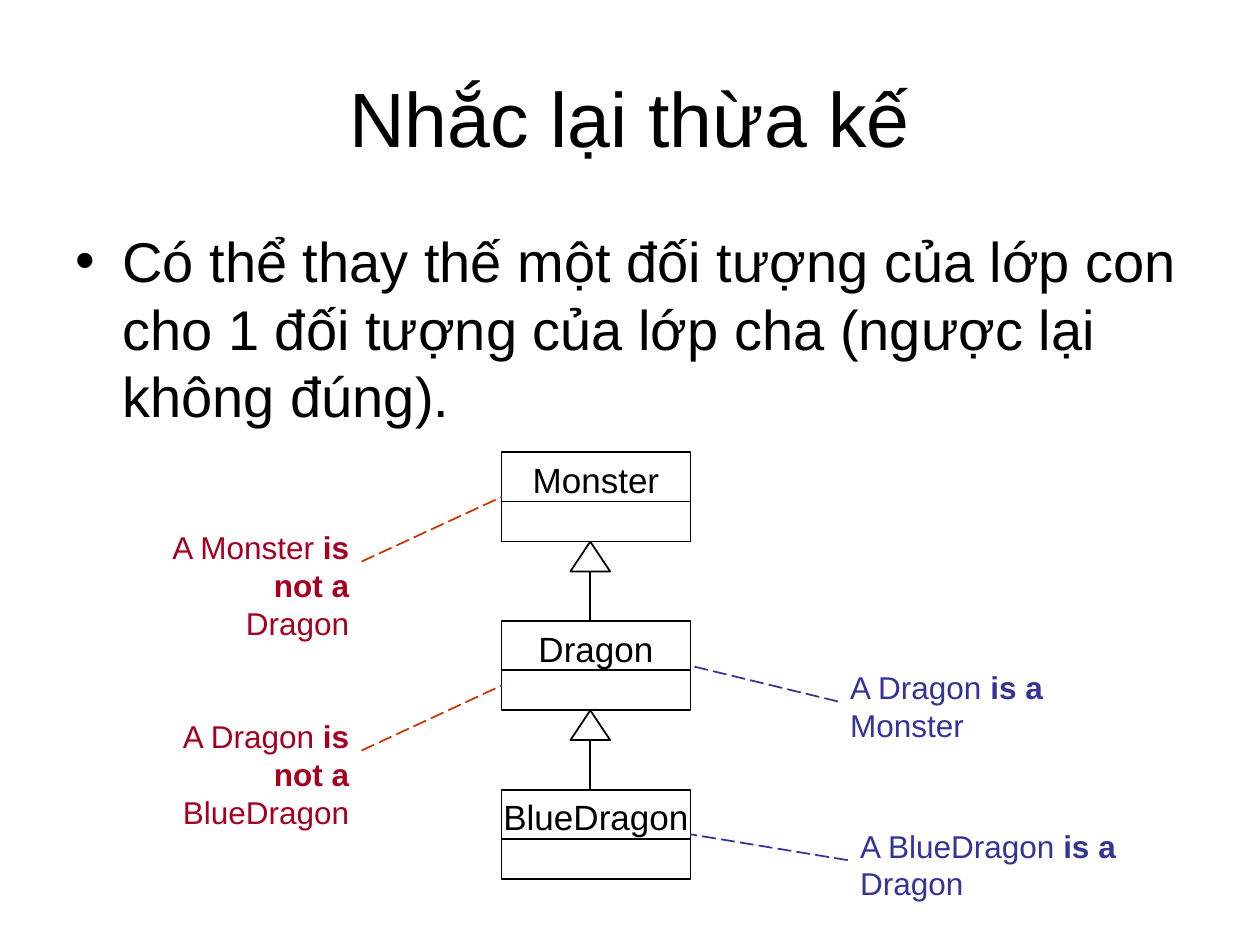
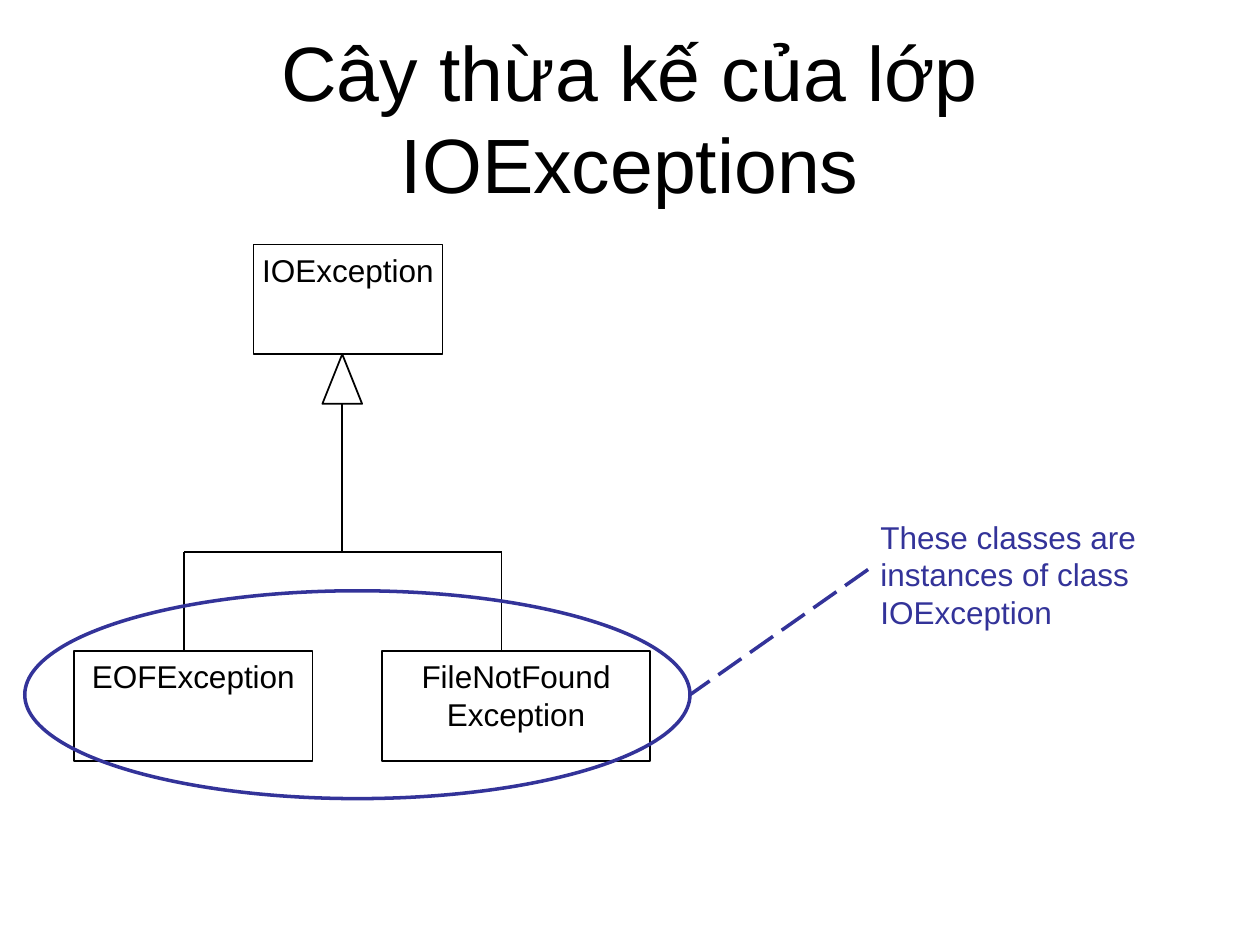
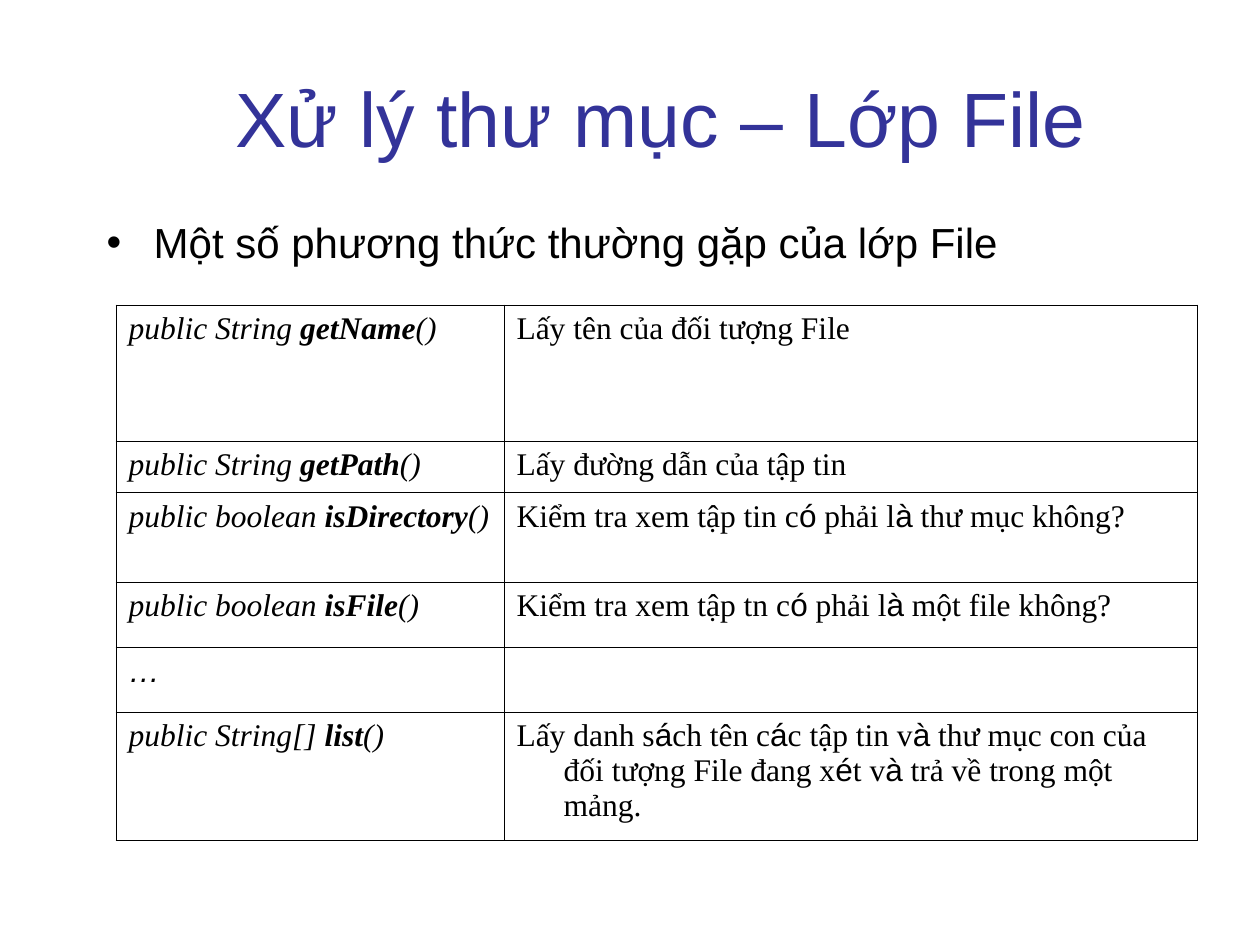
from itertools import groupby

from lxml import etree
from pptx import Presentation
from pptx.dml.color import RGBColor
from pptx.enum.dml import MSO_LINE
from pptx.enum.shapes import MSO_CONNECTOR, MSO_SHAPE
from pptx.enum.text import MSO_ANCHOR, MSO_AUTO_SIZE, PP_ALIGN
from pptx.oxml.ns import qn
from pptx.util import Cm, Pt

LEFT, CENTER, RIGHT = PP_ALIGN.LEFT, PP_ALIGN.CENTER, PP_ALIGN.RIGHT
RECTANGLE, OVAL = MSO_SHAPE.RECTANGLE, MSO_SHAPE.OVAL
TRIANGLE = MSO_SHAPE.ISOSCELES_TRIANGLE
STRAIGHT = MSO_CONNECTOR.STRAIGHT
LONG_DASH = MSO_LINE.LONG_DASH
TOP, MIDDLE = MSO_ANCHOR.TOP, MSO_ANCHOR.MIDDLE
LEFT_SIDE, RIGHT_SIDE = 1, 3

BLACK = RGBColor(0x00, 0x00, 0x00)
WHITE = RGBColor(0xFF, 0xFF, 0xFF)
BLUE = RGBColor(0x33, 0x33, 0x99)
CRIMSON = RGBColor(0xA5, 0x00, 0x21)
ORANGE = RGBColor(0xCC, 0x33, 0x00)

SANS, SERIF = "Arial", "Times New Roman"
SANS_LETTERS = "áàéó…"
HANGING = 0.95
TITLE_BOX = (1.27, 0.76, 22.86, 3.18)
BLUE_TITLE_BOX = (2.54, 0.76, 21.59, 3.18)
ARROW_WIDTH = 0.8

METHODS = [
    (2.74, ("public String ", "getName"), "Lấy tên của đối tượng File"),
    (1.04, ("public String ", "getPath"), "Lấy đường dẫn của tập tin"),
    (1.8, ("public boolean ", "isDirectory"),
     "Kiểm tra xem tập tin có phải là thư mục không?"),
    (1.32, ("public boolean ", "isFile"),
     "Kiểm tra xem tập tn có phải là một file không?"),
    (1.3, ("…", ""), ""),
    (2.59, ("public String[] ", "list"),
     "Lấy danh sách tên các tập tin và thư mục con của đối tượng File "
     "đang xét và trả về trong một mảng."),
]


def lengths(values):
    return [Cm(value) for value in values]


def add_run(paragraph, text, size, color=BLACK, font=SANS, bold=False, italic=False):
    run = paragraph.add_run()
    run.text = text
    run.font.name = font
    run.font.size = Pt(size)
    run.font.color.rgb = color
    run.font.bold = bold
    run.font.italic = italic


def set_hanging(paragraph):
    properties = paragraph._p.get_or_add_pPr()
    properties.set("marL", str(Cm(HANGING)))
    properties.set("indent", str(-Cm(HANGING)))
    return properties


def add_titled_slide(presentation, text, box=TITLE_BOX, color=BLACK):
    slide = presentation.slides.add_slide(presentation.slide_layouts[5])
    title = slide.shapes.title
    title.left, title.top, title.width, title.height = lengths(box)
    frame = title.text_frame
    frame.auto_size = MSO_AUTO_SIZE.NONE
    frame.vertical_anchor = MIDDLE
    paragraph = frame.paragraphs[0]
    paragraph.alignment = CENTER
    add_run(paragraph, text, 44, color)
    return slide


def add_bullet_text(slide, box, text, size):
    frame = slide.shapes.add_textbox(*lengths(box)).text_frame
    frame.word_wrap = True
    paragraph = frame.paragraphs[0]
    properties = set_hanging(paragraph)
    bullet_color = etree.SubElement(properties, qn("a:buClr"))
    etree.SubElement(bullet_color, qn("a:srgbClr"), val=str(BLACK))
    etree.SubElement(properties, qn("a:buFont"), typeface=SANS)
    etree.SubElement(properties, qn("a:buChar"), char="•")
    add_run(paragraph, text, size)


def add_outline(slide, kind, box, color=BLACK, width=1, fill=None):
    shape = slide.shapes.add_shape(kind, *lengths(box))
    shape.shadow.inherit = False
    if fill is None:
        shape.fill.background()
    else:
        shape.fill.solid()
        shape.fill.fore_color.rgb = fill
    shape.line.color.rgb = color
    shape.line.width = Pt(width)
    return shape


def add_line(slide, start, end, color=BLACK, width=1, dash=None):
    line = slide.shapes.add_connector(STRAIGHT, *lengths(start + end))
    line.line.color.rgb = color
    line.line.width = Pt(width)
    if dash:
        line.line.dash_style = dash
    etree.SubElement(line._element.spPr, qn("a:effectLst"))
    return line


def add_class_box(slide, box, name_lines, size):
    shape = add_outline(slide, RECTANGLE, box)
    frame = shape.text_frame
    frame.word_wrap = False
    frame.vertical_anchor = TOP
    for index, name in enumerate(name_lines):
        paragraph = frame.add_paragraph() if index else frame.paragraphs[0]
        paragraph.alignment = CENTER
        add_run(paragraph, name, size)
    return shape


def add_inheritance_arrow(slide, tip, head_height, stem_end, fill=None):
    """Draw a hollow arrowhead with its tip up and a stem down to stem_end."""
    x, y = tip
    head_box = (x - ARROW_WIDTH / 2, y, ARROW_WIDTH, head_height)
    add_outline(slide, TRIANGLE, head_box, fill=fill)
    add_line(slide, (x, y + head_height), (x, stem_end))


def add_callout(slide, box, runs, target, color, line_color, drop=0.8, width=1):
    """Add a note and a dashed line to target from the note's nearer side."""
    left, top, box_width, _ = box
    points_left = target[0] < left
    textbox = slide.shapes.add_textbox(*lengths(box))
    frame = textbox.text_frame
    frame.word_wrap = True
    frame.auto_size = MSO_AUTO_SIZE.SHAPE_TO_FIT_TEXT
    paragraph = frame.paragraphs[0]
    paragraph.alignment = LEFT if points_left else RIGHT
    for text, bold in runs:
        add_run(paragraph, text, 18, color, bold=bold)
    start = (left if points_left else left + box_width, top + drop)
    return add_line(slide, start, target, line_color, width, LONG_DASH)


def add_class_chain(slide, box, names):
    """Stack two-part class boxes, each inheriting from the one above."""
    left, top, width, height = box
    box_height = 1.8
    pitch = (height - box_height) / (len(names) - 1)
    shapes = []
    for index, name in enumerate(names):
        y = top + index * pitch
        shapes.append(add_class_box(slide, (left, y, width, box_height), [name], 20))
        add_line(slide, (left, y + 0.99), (left + width, y + 0.99))
        if index:
            tip = (left + 1.79, y - pitch + box_height)
            add_inheritance_arrow(slide, tip, 0.6, y, WHITE)
    return shapes


def add_relation_notes(slide, chain_box, shapes):
    """Place the "is a" and "is not a" notes on both sides of the class chain."""
    left, top, width, _ = chain_box
    right = left + width
    monster, dragon, blue_dragon = shapes
    notes = [
        ((right + 2.97, top + 4.22, 6.1, 1.78), "A Dragon ", "is a", " Monster",
         (right, top + 4.3), dragon),
        ((right + 3.17, top + 7.42, 6.3, 1.78), "A BlueDragon ", "is a", " Dragon",
         (right, top + 7.7), blue_dragon),
        ((left - 7.01, top + 1.4, 4.19, 2.54), "A Monster ", "is not a", " Dragon",
         (left, top + 0.9), monster),
        ((left - 7.82, top + 5.21, 5, 2.54), "A Dragon ", "is not a", " BlueDragon",
         (left, top + 4.7), None),
    ]
    for box, subject, relation, other, target, joined in notes:
        on_right = box[0] > left
        colors = (BLUE, BLUE) if on_right else (CRIMSON, ORANGE)
        runs = [(subject, False), (relation, True), (other, False)]
        line = add_callout(slide, box, runs, target, *colors)
        if joined is not None:
            line.end_connect(joined, RIGHT_SIDE if on_right else LEFT_SIDE)


def add_exception_tree(slide, left, top):
    box_height, child_top, branch_y = 2.21, top + 8.2, top + 6.2
    branch_xs = (left + 2.21, left + 8.61)
    add_class_box(slide, (left + 3.61, top, 3.81, box_height), ["IOException"], 18)
    add_class_box(slide, (left, child_top, 4.8, box_height), ["EOFException"], 18)
    add_class_box(slide, (left + 6.2, child_top, 5.41, box_height),
                  ["FileNotFound", "Exception"], 18)
    add_inheritance_arrow(slide, (left + 5.4, top + box_height), 1, branch_y)
    add_line(slide, (branch_xs[0], branch_y), (branch_xs[1], branch_y))
    for x in branch_xs:
        add_line(slide, (x, branch_y), (x, child_top))


def add_subclass_note(slide, left, top):
    """Circle the subclasses and explain them in a note to the right."""
    width, height = 13.41, 4.19
    add_outline(slide, OVAL, (left, top, width, height), BLUE, 2)
    add_callout(slide, (left + 17, top - 1.6, 6.81, 2.54),
                [("These classes are instances of class IOException", False)],
                (left + width, top + height / 2), BLUE, BLUE, drop=1.17, width=2)


def set_borders(cell):
    properties = cell._tc.get_or_add_tcPr()
    for index, side in enumerate(("lnL", "lnR", "lnT", "lnB")):
        border = etree.Element(qn("a:" + side), w=str(Pt(0.45)))
        fill = etree.SubElement(border, qn("a:solidFill"))
        etree.SubElement(fill, qn("a:srgbClr"), val=str(BLACK))
        properties.insert(index, border)


def fill_cell(cell, runs, italic):
    """Write runs in the serif font, with some accented letters in the sans font."""
    cell.fill.background()
    set_borders(cell)
    paragraph = cell.text_frame.paragraphs[0]
    set_hanging(paragraph)
    for text, bold in runs:
        for is_sans, letters in groupby(text, lambda letter: letter in SANS_LETTERS):
            font = SANS if is_sans else SERIF
            add_run(paragraph, "".join(letters), 18, font=font, bold=bold, italic=italic)


def add_method_table(slide, box, methods):
    table = slide.shapes.add_table(len(methods), 2, *lengths(box)).table
    table.first_row = False
    table.horz_banding = False
    name_width = 7.82
    table.columns[0].width = Cm(name_width)
    table.columns[1].width = Cm(box[2] - name_width)
    for index, (height, (declaration, name), purpose) in enumerate(methods):
        table.rows[index].height = Cm(height)
        signature = [(declaration, False)]
        if name:
            signature += [(name, True), ("()", False)]
        fill_cell(table.cell(index, 0), signature, italic=True)
        fill_cell(table.cell(index, 1), [(purpose, False)], italic=False)


def build_inheritance_slide(presentation):
    slide = add_titled_slide(presentation, "Nhắc lại thừa kế")
    add_bullet_text(slide, (1.27, 4.45, 22.86, 12.57),
                    "Có thể thay thế một đối tượng của lớp con cho 1 đối tượng "
                    "của lớp cha (ngược lại không đúng).", 32)
    chain_box = (10.11, 9.12, 3.81, 8.6)
    shapes = add_class_chain(slide, chain_box, ["Monster", "Dragon", "BlueDragon"])
    add_relation_notes(slide, chain_box, shapes)


def build_exception_slide(presentation):
    slide = add_titled_slide(presentation, "Cây thừa kế của lớp IOExceptions")
    add_exception_tree(slide, 1.5, 4.93)
    add_subclass_note(slide, 0.5, 11.91)


def build_file_slide(presentation):
    slide = add_titled_slide(presentation, "Xử lý thư mục – Lớp File",
                             BLUE_TITLE_BOX, BLUE)
    add_bullet_text(slide, (1.9, 4.24, 22.43, 1.9),
                    "Một số phương thức thường gặp của lớp File", 24)
    add_method_table(slide, (2.34, 6.15, 21.79, 10.79), METHODS)


def main():
    presentation = Presentation()
    presentation.slide_width = Cm(25.4)
    presentation.slide_height = Cm(19.05)
    build_inheritance_slide(presentation)
    build_exception_slide(presentation)
    build_file_slide(presentation)
    presentation.save("out.pptx")


if __name__ == "__main__":
    main()
